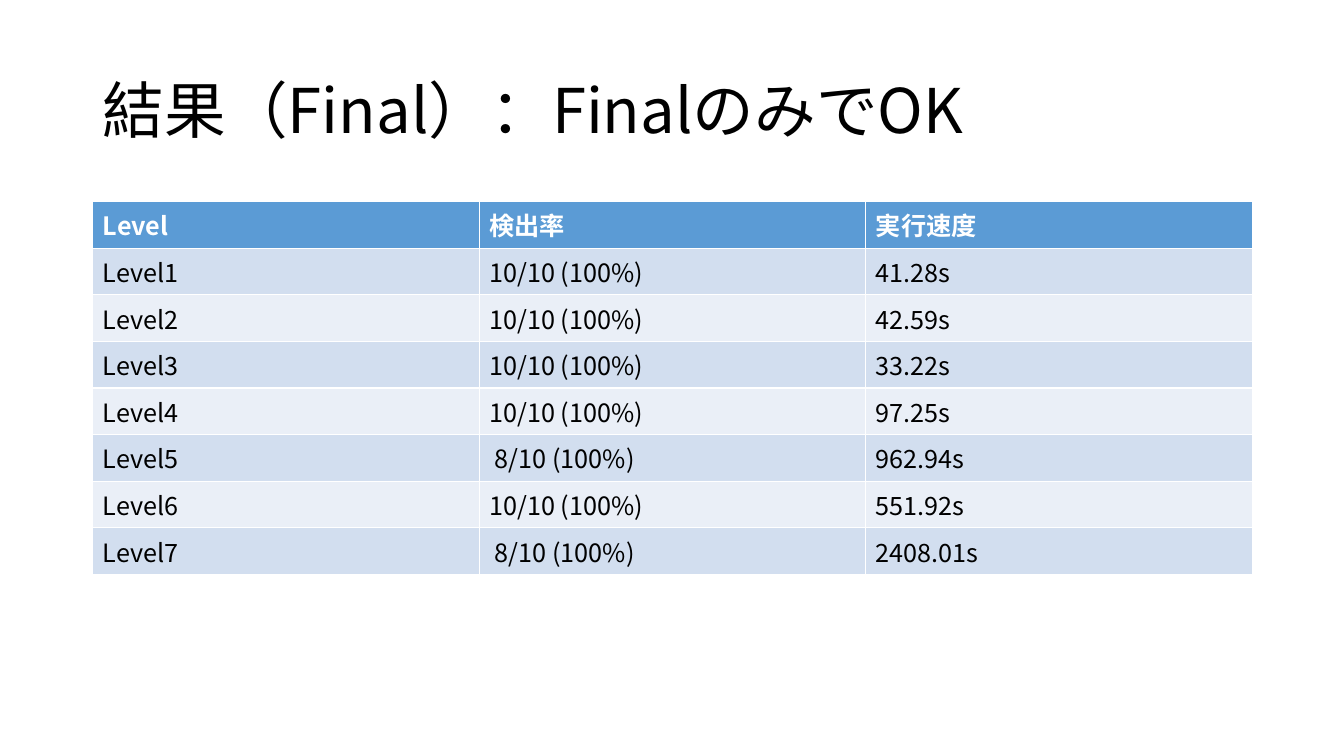
from pptx import Presentation
from pptx.dml.color import RGBColor
from pptx.enum.text import MSO_ANCHOR, MSO_AUTO_SIZE, PP_ALIGN
from pptx.oxml.ns import qn
from pptx.util import Inches, Pt
from lxml import etree

FONT = "Noto Sans CJK JP"
BLACK = RGBColor(0x00, 0x00, 0x00)
WHITE = RGBColor(0xFF, 0xFF, 0xFF)
HEADER_BLUE = RGBColor(0x5B, 0x9B, 0xD5)
BAND_COLORS = (RGBColor(0xD2, 0xDE, 0xEF), RGBColor(0xEA, 0xEF, 0xF7))
LEFT = PP_ALIGN.LEFT
MIDDLE = MSO_ANCHOR.MIDDLE
NO_AUTOFIT = MSO_AUTO_SIZE.NONE

TITLE_ONLY_LAYOUT = 5
MARGIN = Inches(0.92)
CONTENT_WIDTH = Inches(11.5)
ROW_HEIGHT = Inches(0.41)

HEADINGS = ("Level", "検出率", "実行速度")
RESULTS = (
    ("Level1", "10/10 (100%)", "41.28s"),
    ("Level2", "10/10 (100%)", "42.59s"),
    ("Level3", "10/10 (100%)", "33.22s"),
    ("Level4", "10/10 (100%)", "97.25s"),
    ("Level5", " 8/10 (100%)", "962.94s"),
    ("Level6", "10/10 (100%)", "551.92s"),
    ("Level7", " 8/10 (100%)", "2408.01s"),
)


def format_paragraph(paragraph, size, color, bold=False):
    """Set the font for Latin and East Asian text alike."""
    font = paragraph.font
    font.size = Pt(size)
    font.bold = bold
    font.color.rgb = color
    font.name = FONT
    properties = paragraph._p.pPr.find(qn("a:defRPr"))
    etree.SubElement(properties, qn("a:ea"), typeface=FONT)


def place_title(slide, text, left, top, width, height):
    title = slide.shapes.title
    title.left, title.top, title.width, title.height = left, top, width, height
    frame = title.text_frame
    frame.text = text
    frame.word_wrap = True
    frame.auto_size = NO_AUTOFIT
    frame.vertical_anchor = MIDDLE
    paragraph = frame.paragraphs[0]
    paragraph.alignment = LEFT
    paragraph.line_spacing = 0.9
    format_paragraph(paragraph, 44, BLACK)


def add_results_table(slide, left, top, width):
    rows = (HEADINGS, *RESULTS)
    table = slide.shapes.add_table(
        len(rows), len(HEADINGS), left, top, width, ROW_HEIGHT * len(rows)
    ).table
    for row_index, values in enumerate(rows):
        is_header = row_index == 0
        fill_color = HEADER_BLUE if is_header else BAND_COLORS[(row_index - 1) % 2]
        for column_index, value in enumerate(values):
            cell = table.cell(row_index, column_index)
            cell.text = value
            cell.fill.solid()
            cell.fill.fore_color.rgb = fill_color
            format_paragraph(cell.text_frame.paragraphs[0], 18,
                             WHITE if is_header else BLACK, is_header)


def main():
    presentation = Presentation()
    presentation.slide_width = Inches(13.33)
    presentation.slide_height = Inches(7.5)
    slide = presentation.slides.add_slide(
        presentation.slide_layouts[TITLE_ONLY_LAYOUT])
    place_title(slide, "結果（Final）：FinalのみでOK",
                MARGIN, Inches(0.4), CONTENT_WIDTH, Inches(1.45))
    add_results_table(slide, MARGIN, Inches(2), CONTENT_WIDTH)
    presentation.save("out.pptx")


if __name__ == "__main__":
    main()
